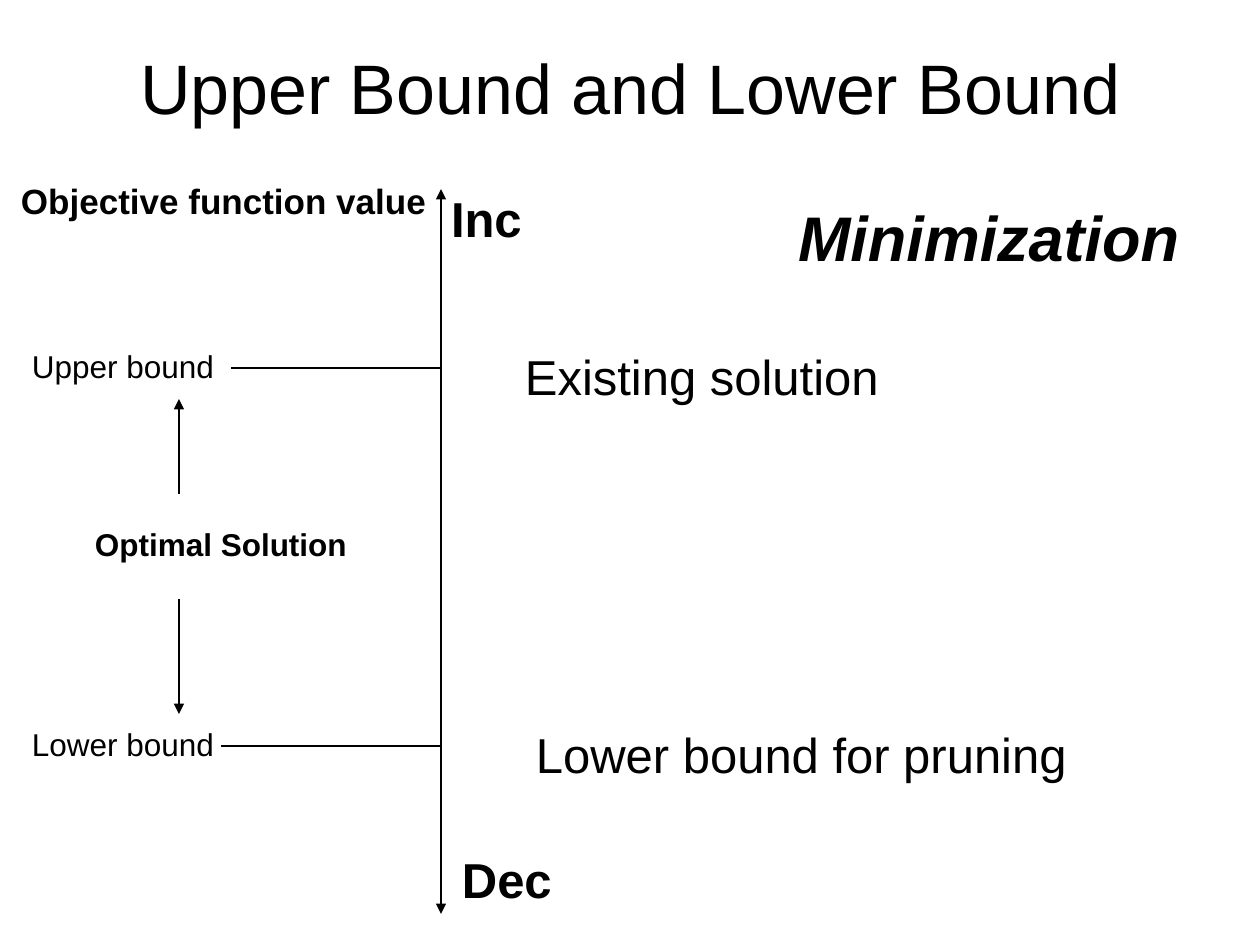
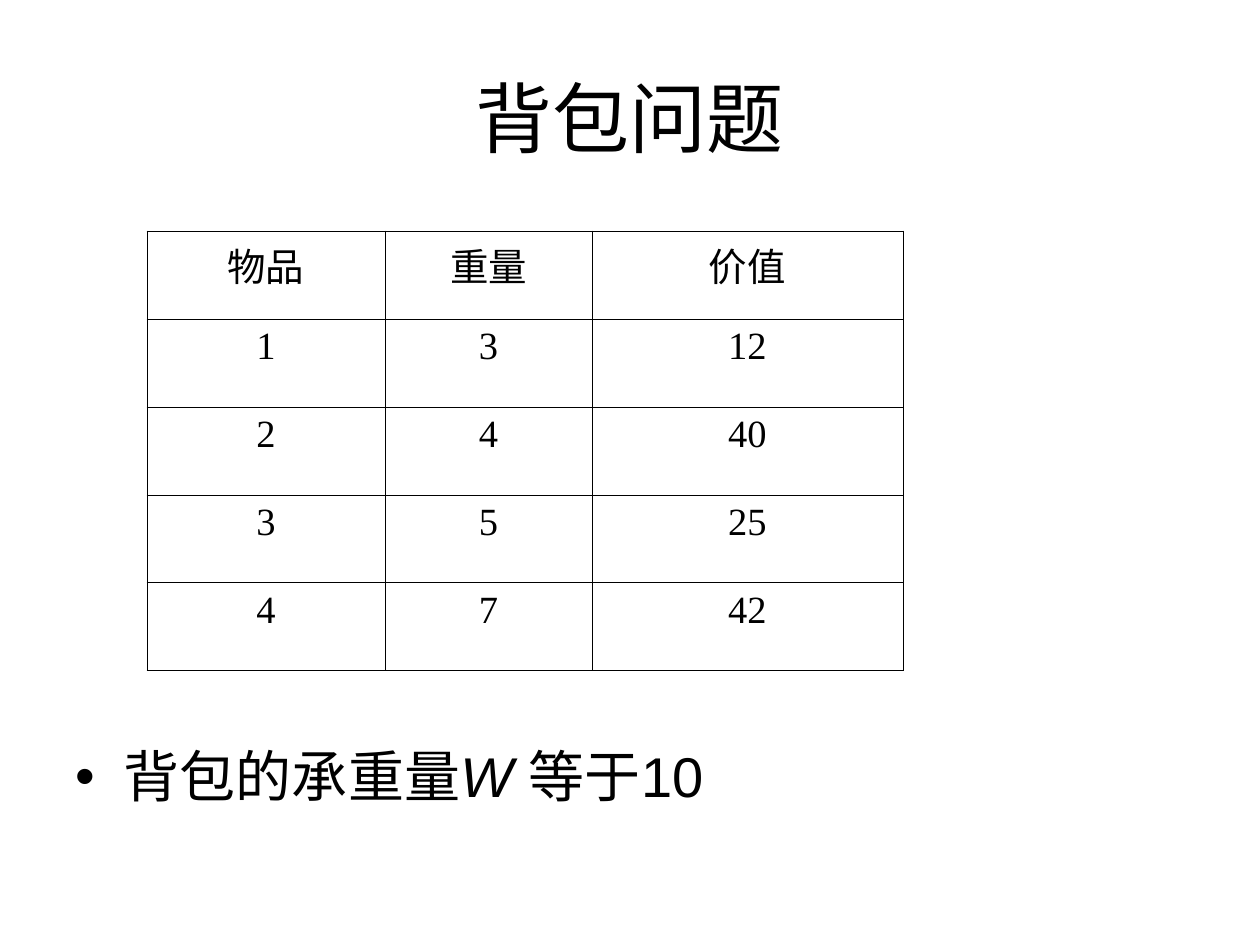
from dataclasses import dataclass

from lxml import etree
from pptx import Presentation
from pptx.dml.color import RGBColor
from pptx.enum.shapes import MSO_CONNECTOR
from pptx.enum.text import MSO_ANCHOR, PP_ALIGN
from pptx.oxml.ns import qn
from pptx.util import Emu, Pt

STRAIGHT = MSO_CONNECTOR.STRAIGHT
TOP, MIDDLE = MSO_ANCHOR.TOP, MSO_ANCHOR.MIDDLE
LEFT, CENTER = PP_ALIGN.LEFT, PP_ALIGN.CENTER
RIGHT_SIDE = 3
PX_PER_INCH = 126


@dataclass(frozen=True)
class Theme:
    ink: RGBColor = RGBColor(0, 0, 0)
    font: str = "Arial"
    table_font: str = "Times New Roman"
    title: int = 40
    title_large: int = 44
    bullet: int = 32
    emphasis: int = 36
    note: int = 28
    axis_title: int = 20
    label: int = 18
    cell: int = 22
    thin: float = 0.75
    thick: float = 1.5
    border: float = 0.45


THEME = Theme()


def px(n):
    return Emu(round(n * 914400 / PX_PER_INCH))


def add_run(p, text, size, font=THEME.font, bold=False, italic=False):
    r = p.add_run()
    r.text = text
    r.font.name = font
    r.font.size = Pt(size)
    r.font.bold = bold
    r.font.italic = italic
    r.font.color.rgb = THEME.ink


def add_box(slide, x, y, w, h, inset=(0, 0), anchor=TOP, align=LEFT):
    sp = slide.shapes.add_textbox(px(x), px(y), px(w), px(h))
    tf = sp.text_frame
    tf.word_wrap = True
    tf.vertical_anchor = anchor
    tf.margin_left = tf.margin_right = px(inset[0])
    tf.margin_top = tf.margin_bottom = px(inset[1])
    tf.paragraphs[0].alignment = align
    return sp


def add_title(slide, text, size, height):
    sp = add_box(slide, 63, 38, 1134, height, (13, 6), MIDDLE, CENTER)
    add_run(sp.text_frame.paragraphs[0], text, size)


def add_label(slide, text, x, y, w, h, size, bold=False, italic=False):
    sp = add_box(slide, x, y, w, h)
    add_run(sp.text_frame.paragraphs[0], text, size, bold=bold, italic=italic)
    return sp


def add_line(slide, x1, y1, x2, y2, width=THEME.thin, heads=()):
    line = slide.shapes.add_connector(STRAIGHT, px(x1), px(y1), px(x2), px(y2))
    line.line.color.rgb = THEME.ink
    line.line.width = Pt(width)
    ln = line.line._get_or_add_ln()
    for head in heads:
        etree.SubElement(ln, qn(f"a:{head}"), type="triangle")
    etree.SubElement(line._element.spPr, qn("a:effectLst"))
    return line


def add_bullet(slide, x, y, w, h, runs):
    sp = add_box(slide, x, y, w, h, (13, 6))
    p = sp.text_frame.paragraphs[0]
    pPr = p._p.get_or_add_pPr()
    pPr.set("marL", str(px(48)))
    pPr.set("indent", str(-px(48)))
    etree.SubElement(pPr, qn("a:buFont"), typeface=THEME.font)
    etree.SubElement(pPr, qn("a:buChar"), char="•")
    p.line_spacing = 0.9
    for text, italic in runs:
        add_run(p, text, THEME.bullet, italic=italic)


def add_borders(cell):
    tcPr = cell._tc.get_or_add_tcPr()
    for i, side in enumerate(("lnL", "lnR", "lnT", "lnB")):
        ln = etree.Element(qn(f"a:{side}"), w=str(Pt(THEME.border)))
        fill = etree.SubElement(ln, qn("a:solidFill"))
        etree.SubElement(fill, qn("a:srgbClr"), val=str(THEME.ink))
        tcPr.insert(i, ln)


def add_grid(slide, x, y, widths, row_height, rows):
    frame = slide.shapes.add_table(len(rows), len(widths), px(x), px(y),
                                   px(sum(widths)), px(row_height * len(rows)))
    table = frame.table
    table.first_row = table.horz_banding = False
    for column, width in zip(table.columns, widths):
        column.width = px(width)
    for row, values in zip(table.rows, rows):
        row.height = px(row_height)
        for cell, value in zip(row.cells, values):
            cell.fill.background()
            add_borders(cell)
            p = cell.text_frame.paragraphs[0]
            p.alignment = CENTER
            add_run(p, value, THEME.cell, THEME.table_font)


def build_bounds(slide):
    axis_x, arrow_x = 441, 179
    add_title(slide, "Upper Bound and Lower Bound", THEME.title, 98)
    add_line(slide, axis_x, 189, axis_x, 914, THEME.thick, ("headEnd", "tailEnd"))

    add_label(slide, "Upper bound", 32, 347, 189, 42, THEME.label)
    lower = add_label(slide, "Lower bound", 32, 725, 189, 42, THEME.label)
    add_line(slide, axis_x, 368, 231, 368)
    add_line(slide, axis_x, 746, 221, 746).end_connect(lower, RIGHT_SIDE)

    add_label(slide, "Objective function value", 21, 179, 410, 42,
              THEME.axis_title, bold=True)
    add_label(slide, "Optimal Solution", 95, 525, 252, 38, THEME.label, bold=True)
    add_label(slide, "Minimization", 798, 199, 399, 76, THEME.emphasis,
              bold=True, italic=True)
    for text, x, y, w, bold in (("Inc", 451, 189, 84, True),
                                ("Dec", 462, 850, 116, True),
                                ("Existing solution", 525, 347, 462, False),
                                ("Lower bound for pruning", 536, 725, 557, False)):
        add_label(slide, text, x, y, w, 59, THEME.note, bold=bold)

    for start, end in ((494, 399), (599, 714)):
        add_line(slide, arrow_x, start, arrow_x, end, heads=("tailEnd",))


def build_knapsack(slide):
    add_title(slide, "背包问题", THEME.title_large, 158)
    items = (("物品", "重量", "价值"),
             ("1", "3", "12"),
             ("2", "4", "40"),
             ("3", "5", "25"),
             ("4", "7", "42"))
    add_grid(slide, 147, 231, (238, 207, 311), 88, items)
    add_bullet(slide, 63, 743, 1134, 90,
               (("背包的承重量", False), ("W ", True), ("等于10", False)))


def main():
    prs = Presentation()
    prs.slide_width, prs.slide_height = px(1260), px(945)
    blank = prs.slide_layouts[6]
    for build in (build_bounds, build_knapsack):
        build(prs.slides.add_slide(blank))
    prs.save("out.pptx")


if __name__ == "__main__":
    main()
